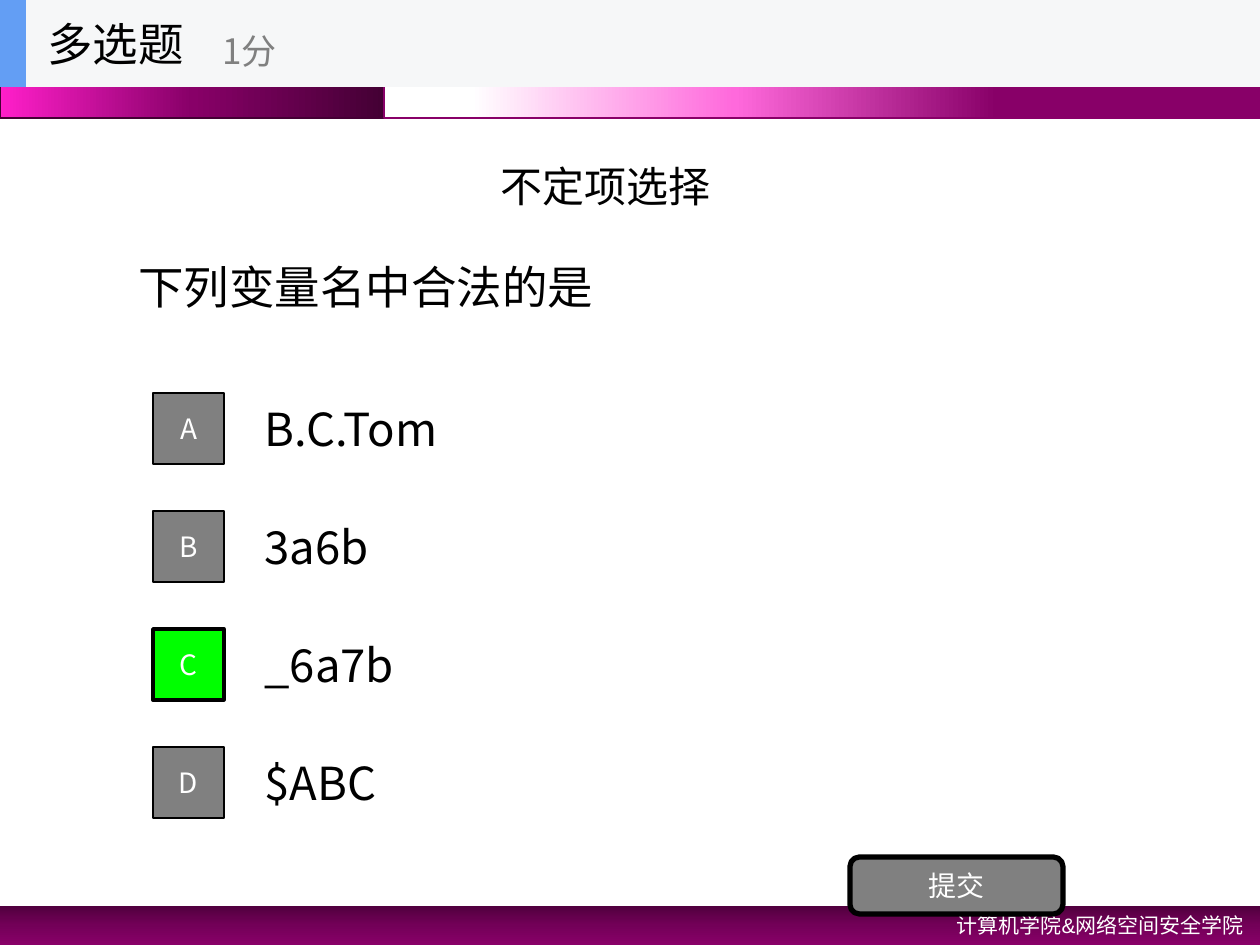
import pptx
import pptx.dml.color
import pptx.enum.shapes
import pptx.enum.text
import pptx.oxml.ns
import pptx.util
from lxml import etree

SCALE = 914400 / 126
SANS = "Noto Sans CJK SC"
RECTANGLE = pptx.enum.shapes.MSO_SHAPE.RECTANGLE
ROUNDED = pptx.enum.shapes.MSO_SHAPE.ROUNDED_RECTANGLE
LEFT = pptx.enum.text.PP_ALIGN.LEFT
CENTER = pptx.enum.text.PP_ALIGN.CENTER
RIGHT = pptx.enum.text.PP_ALIGN.RIGHT
TOP = pptx.enum.text.MSO_ANCHOR.TOP
MIDDLE = pptx.enum.text.MSO_ANCHOR.MIDDLE


def px(length):
    """Turn pixels into EMU."""
    return pptx.util.Emu(round(length * SCALE))


def color(value):
    """Turn a hex string into a colour."""
    return pptx.dml.color.RGBColor.from_string(value)


def write(shape, text, size, fill="000000", font=SANS, align=LEFT, anchor=MIDDLE, wrap=True):
    """Put one formatted run of text in a shape."""
    frame = shape.text_frame
    frame.word_wrap = wrap
    frame.vertical_anchor = anchor
    paragraph = frame.paragraphs[0]
    paragraph.alignment = align
    run = paragraph.add_run()
    run.text = text
    run.font.size = pptx.util.Pt(size)
    run.font.name = font
    run.font.color.rgb = color(fill)
    latin = run.font._element.find(pptx.oxml.ns.qn("a:latin"))
    east_asian = etree.Element(pptx.oxml.ns.qn("a:ea"), typeface=SANS)
    latin.addnext(east_asian)


def add_text(shapes, box, text, size, **style):
    """Add a text box."""
    write(shapes.add_textbox(*map(px, box)), text, size, **style)


def add_block(shapes, box, fill=None, line=None, width=1, kind=RECTANGLE):
    """Add a preset shape with a plain fill and an optional outline."""
    shape = shapes.add_shape(kind, *map(px, box))
    shape.shadow.inherit = False
    if fill:
        shape.fill.solid()
        shape.fill.fore_color.rgb = color(fill)
    if line:
        shape.line.color.rgb = color(line)
        shape.line.width = pptx.util.Pt(width)
    else:
        shape.line.fill.background()
    return shape


def add_gradient(shapes, box, stops, angle, line=None):
    """Add a rectangle with a linear gradient, its angle measured clockwise."""
    shape = add_block(shapes, box, line=line)
    shape.fill.gradient()
    shape.fill.gradient_angle = 360 - angle
    stop_list = shape._element.spPr.find(".//" + pptx.oxml.ns.qn("a:gsLst"))
    for stop in list(stop_list):
        stop_list.remove(stop)
    for position, value in stops:
        stop = etree.SubElement(stop_list, pptx.oxml.ns.qn("a:gs"), pos=str(position * 1000))
        etree.SubElement(stop, pptx.oxml.ns.qn("a:srgbClr"), val=value)


def add_bands(shapes):
    """Add the gradient bands at the top and bottom and the footer text."""
    add_gradient(shapes, (0, 906, 1260, 39),
                 [(0, "51003E"), (50, "730058"), (100, "880068")], 90)
    add_gradient(shapes, (0, 0, 384, 118),
                 [(0, "440034"), (50, "880068"), (100, "FF1FCA")], 180, "440034")
    add_gradient(shapes, (384, 0, 876, 118),
                 [(30, "880068"), (60, "FF69DC"), (90, "FFFFFF")], 180, "880068")
    add_text(shapes, (809, 906, 447, 38), "计算机学院&网络空间安全学院", 12,
             fill="FFFFFF", font="Arial", align=RIGHT, anchor=TOP)


def add_title(slide):
    """Place and format the title placeholder."""
    title = slide.shapes.title
    title.left, title.top, title.width, title.height = map(px, (488, 154, 318, 63))
    write(title, "不定项选择", 24, font="Arial", anchor=TOP)


def add_option(shapes, index, text, chosen):
    """Add one answer with its lettered button."""
    offset = 118 * index
    add_text(shapes, (252, 384 + offset, 882, 88), text, 26)
    button = add_block(shapes, (153, 393 + offset, 71, 71),
                       "00FF00" if chosen else "808080", "000000", 2 if chosen else 1)
    write(button, "ABCD"[index], 16, fill="FFFFFF", align=CENTER)


def add_header(shapes):
    """Add the grouped header with question type and score."""
    header = shapes.add_group_shape().shapes
    add_block(header, (0, 0, 1260, 87), "F6F7F8")
    add_block(header, (0, 0, 26, 87), "639EF4")
    add_text(header, (35, 0, 262, 87), "多选题", 26, wrap=False)
    add_text(header, (210, 15, 315, 71), "1分", 20, fill="808080", wrap=False)


def main():
    """Build and save the slide."""
    presentation = pptx.Presentation()
    presentation.slide_width, presentation.slide_height = px(1260), px(945)
    slide = presentation.slides.add_slide(presentation.slide_layouts[5])
    shapes = slide.shapes
    add_title(slide)
    add_bands(shapes)
    add_text(shapes, (126, 139, 1008, 295), "下列变量名中合法的是", 26)
    for index, text in enumerate(["B.C.Tom", "3a6b", "_6a7b", "$ABC"]):
        add_option(shapes, index, text, text == "_6a7b")
    submit = add_block(shapes, (850, 857, 213, 57), "808080", "000000", 3, ROUNDED)
    write(submit, "提交", 16, fill="FFFFFF", align=CENTER)
    add_header(shapes)
    presentation.save("out.pptx")


if __name__ == "__main__":
    main()
